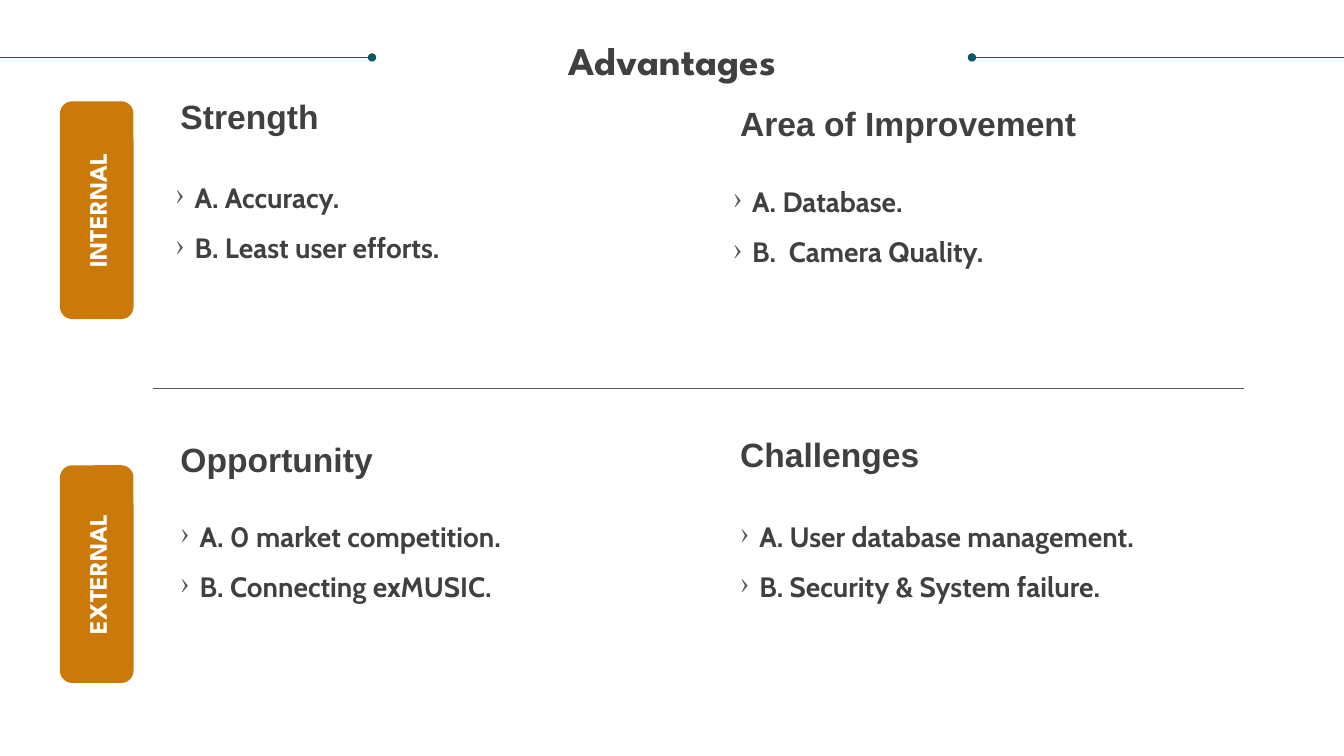
from dataclasses import dataclass

from lxml.etree import SubElement
from pptx import Presentation
from pptx.dml.color import RGBColor
from pptx.enum.shapes import MSO_CONNECTOR, MSO_SHAPE
from pptx.enum.text import MSO_ANCHOR, PP_ALIGN
from pptx.oxml.ns import qn
from pptx.util import Pt

PX = 9144  # EMU per px, 100 px to the inch


@dataclass(frozen=True)
class Theme:
    text: str = "404040"
    muted: str = "585858"
    rule: str = "085764"
    tab: str = "CB7A09"
    tab_text: str = "FFFFFF"
    display_font: str = "League Spartan"
    heading_font: str = "Arial"
    body_font: str = "Cabin"
    title_size: int = 28
    heading_size: int = 24
    body_size: int = 20
    tab_size: int = 18
    line_width: float = 0.5


@dataclass(frozen=True)
class Box:
    left: int
    top: int
    width: int
    height: int

    def emu(self):
        return [PX * length for length in (self.left, self.top, self.width, self.height)]


THEME = Theme()
SLIDE = Box(0, 0, 1333, 750)
LIST_HEIGHT = 84
BULLET_INDENT = 19

# Box, heading, list items, list shift from the heading's left edge
QUADRANTS = [
    (Box(179, 95, 455, 168), "Strength", ["A. Accuracy.", "B. Least user efforts."], -5),
    (Box(734, 102, 455, 165), "Area of Improvement", ["A. Database.", "B.  Camera Quality."], -7),
    (Box(179, 435, 455, 164), "Opportunity",
     ["A. 0 market competition.", "B. Connecting exMUSIC."], 0),
    (Box(734, 430, 455, 169), "Challenges",
     ["A. User database management.", "B. Security & System failure."], 0),
]
TABS = [(Box(60, 100, 73, 216), "INTERNAL"), (Box(60, 461, 73, 216), "EXTERNAL")]


def style_paragraph(paragraph, font_name, size, color):
    font = paragraph.font
    font.name, font.size, font.bold = font_name, Pt(size), True
    font.color.rgb = RGBColor.from_string(color)


def add_text(slide, box, lines, font_name, size):
    frame = slide.shapes.add_textbox(*box.emu()).text_frame
    frame.word_wrap = True
    frame.margin_left = frame.margin_top = frame.margin_right = frame.margin_bottom = 0
    frame.text = "\n".join(lines)
    for paragraph in frame.paragraphs:
        style_paragraph(paragraph, font_name, size, THEME.text)
    return frame


def add_line(slide, start, end, y, color, dot=False):
    connector = slide.shapes.add_connector(
        MSO_CONNECTOR.STRAIGHT, start * PX, y * PX, end * PX, y * PX)
    connector.line.color.rgb = RGBColor.from_string(color)
    connector.line.width = Pt(THEME.line_width)
    if dot:
        SubElement(connector.line._get_or_add_ln(), qn("a:tailEnd"), type="oval")
    SubElement(connector._element.spPr, qn("a:effectLst"))


def add_bullet(paragraph):
    properties = paragraph._p.get_or_add_pPr()
    properties.set("marL", str(BULLET_INDENT * PX))
    properties.set("indent", str(-BULLET_INDENT * PX))
    paragraph.space_before = Pt(12)
    # Bullet elements stand before the default run properties
    run_defaults = properties.find(qn("a:defRPr"))
    bullet_color = SubElement(properties, qn("a:buClr"))
    SubElement(bullet_color, qn("a:srgbClr"), val=THEME.muted)
    bullet = SubElement(properties, qn("a:buChar"), char="›")
    for element in (bullet_color, bullet):
        run_defaults.addprevious(element)


def draw_header(slide, box):
    # Title between two dotted rules
    title_box = Box(box.left + 25, box.top + 41, box.width - 50, 42)
    title = add_text(slide, title_box, ["Advantages"], THEME.display_font, THEME.title_size)
    title.paragraphs[0].alignment = PP_ALIGN.CENTER
    title.paragraphs[0].line_spacing = 0.9
    right = box.left + box.width
    for start, end in ((box.left, box.left + 369), (right, right - 369)):
        add_line(slide, start, end, box.top + 57, THEME.rule, dot=True)


def draw_tab(slide, box, label):
    # The shape lies flat about the box's centre, then turns upright
    inset = (box.width - box.height) // 2
    flat = Box(box.left + inset, box.top - inset, box.height, box.width)
    shape = slide.shapes.add_shape(MSO_SHAPE.ROUNDED_RECTANGLE, *flat.emu())
    shape.rotation = 270
    shape.shadow.inherit = False
    shape.fill.solid()
    shape.fill.fore_color.rgb = RGBColor.from_string(THEME.tab)
    shape.line.fill.background()
    shape.text_frame.text = label
    shape.text_frame.vertical_anchor = MSO_ANCHOR.MIDDLE
    paragraph = shape.text_frame.paragraphs[0]
    paragraph.alignment = PP_ALIGN.CENTER
    style_paragraph(paragraph, THEME.display_font, THEME.tab_size, THEME.tab_text)


def draw_quadrant(slide, box, heading, items, list_shift):
    # Heading at the top, list at the bottom
    heading_box = Box(box.left, box.top, box.width, 40)
    add_text(slide, heading_box, [heading], THEME.heading_font, THEME.heading_size)
    list_top = box.top + box.height - LIST_HEIGHT
    list_box = Box(box.left + list_shift, list_top, box.width, LIST_HEIGHT)
    frame = add_text(slide, list_box, items, THEME.body_font, THEME.body_size)
    for paragraph in frame.paragraphs:
        add_bullet(paragraph)


def main():
    presentation = Presentation()
    presentation.slide_width = SLIDE.width * PX
    presentation.slide_height = SLIDE.height * PX
    slide = presentation.slides.add_slide(presentation.slide_layouts[6])

    draw_header(slide, Box(0, 0, SLIDE.width, 90))
    for box, label in TABS:
        draw_tab(slide, box, label)
    # Divider between the internal and external rows
    add_line(slide, 152, 1234, 385, THEME.muted)
    for quadrant in QUADRANTS:
        draw_quadrant(slide, *quadrant)

    presentation.save("out.pptx")


if __name__ == "__main__":
    main()
